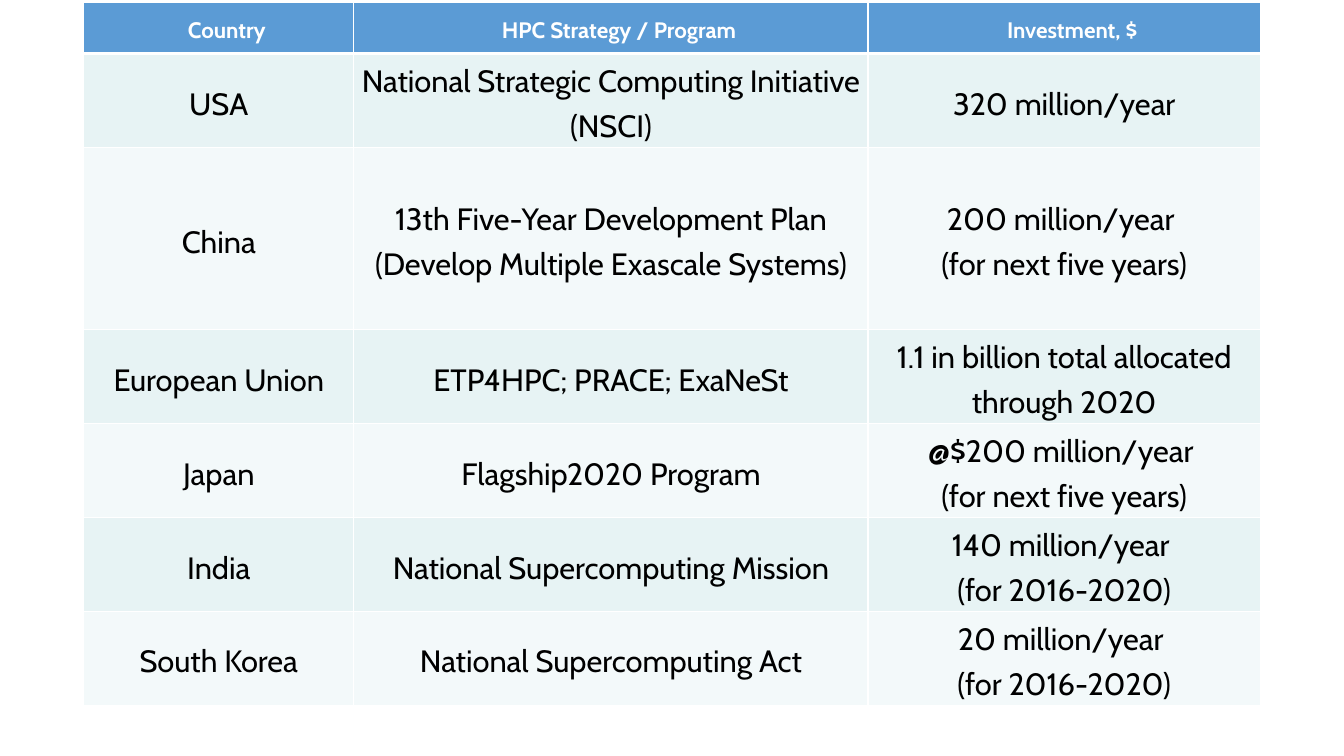
from dataclasses import dataclass

from lxml.etree import SubElement
from pptx import Presentation
from pptx.dml.color import RGBColor as RGB
from pptx.enum.text import MSO_ANCHOR as ANCHOR, PP_ALIGN as ALIGN
from pptx.oxml.ns import qn
from pptx.table import _Cell as Cell
from pptx.util import Inches, Pt

COLORS = {
    "header": "5B9BD5",
    "odd": "E7F3F4",
    "even": "F3F9FA",
    "white": "FFFFFF",
    "black": "000000",
}
FONT = "Cabin"
COLUMN_WIDTHS = [2.68, 5.1, 3.89]


@dataclass(frozen=True)
class RowStyle:
    fill: str
    color: str
    size: int
    bold: bool = False
    indent: float = 0


@dataclass(frozen=True)
class Program:
    country: str
    strategy: str
    investment: str
    height: float = 0.93


HEADER = Program("Country", "HPC Strategy / Program", "Investment, $", 0.51)
PROGRAMS = [
    Program("USA", "National Strategic Computing Initiative (NSCI)", "320 million/year"),
    Program(
        "China",
        "13th Five-Year Development Plan\n(Develop Multiple Exascale Systems)",
        "200 million/year \n(for next five years)",
        1.81,
    ),
    Program(
        "European Union",
        "ETP4HPC; PRACE; ExaNeSt",
        "1.1 in billion total allocated through 2020",
    ),
    Program("Japan", "Flagship2020 Program", "@$200 million/year \n(for next five years)"),
    Program("India", "National Supercomputing Mission", "140 million/year \n(for 2016-2020)"),
    Program("South Korea", "National Supercomputing Act", "20 million/year \n(for 2016-2020)", 0.89),
]
HEADER_STYLE = RowStyle("header", "white", 16, True, 0.16)
BODY_STYLES = [RowStyle("odd", "black", 22), RowStyle("even", "black", 22)]


def add_border(cell: Cell, side: str, width: float) -> None:
    tc_pr = cell._tc.get_or_add_tcPr()
    ln = SubElement(tc_pr, qn(f"a:ln{side}"), w=str(Pt(width)))
    fill = SubElement(ln, qn("a:solidFill"))
    SubElement(fill, qn("a:srgbClr"), val=COLORS["white"])


def fill_cell(cell: Cell, text: str, style: RowStyle, top: float, bottom: float) -> None:
    cell.margin_left = cell.margin_right = Inches(0.06)
    cell.margin_top = cell.margin_bottom = Inches(0.02)
    cell.vertical_anchor = ANCHOR.MIDDLE
    for side, width in (("L", 1), ("R", 1), ("T", top), ("B", bottom)):
        add_border(cell, side, width)
    cell.fill.solid()
    cell.fill.fore_color.rgb = RGB.from_string(COLORS[style.fill])

    p = cell.text_frame.paragraphs[0]
    p.text = text
    p.alignment = ALIGN.CENTER
    p.line_spacing = 1.2
    if style.indent:
        p._p.get_or_add_pPr().set("indent", str(Inches(style.indent)))
    for r in p.runs:
        r.font.name = FONT
        r.font.size = Pt(style.size)
        r.font.bold = style.bold
        r.font.color.rgb = RGB.from_string(COLORS[style.color])


def main() -> None:
    prs = Presentation()
    prs.slide_width, prs.slide_height = Inches(13.33), Inches(7.5)
    s = prs.slides.add_slide(prs.slide_layouts[6])

    rows = [HEADER, *PROGRAMS]
    table = s.shapes.add_table(
        len(rows),
        len(COLUMN_WIDTHS),
        Inches(0.83),
        Inches(0.02),
        Inches(sum(COLUMN_WIDTHS)),
        Inches(sum(row.height for row in rows)),
    ).table
    table.horz_banding = False
    for column, width in zip(table.columns, COLUMN_WIDTHS):
        column.width = Inches(width)

    for i, row in enumerate(rows):
        table.rows[i].height = Inches(row.height)
        style = BODY_STYLES[(i - 1) % 2] if i else HEADER_STYLE
        top = 3 if i == 1 else 1
        bottom = 3 if i == 0 else 1
        for j, text in enumerate((row.country, row.strategy, row.investment)):
            fill_cell(table.cell(i, j), text, style, top, bottom)

    prs.save("out.pptx")


if __name__ == "__main__":
    main()
